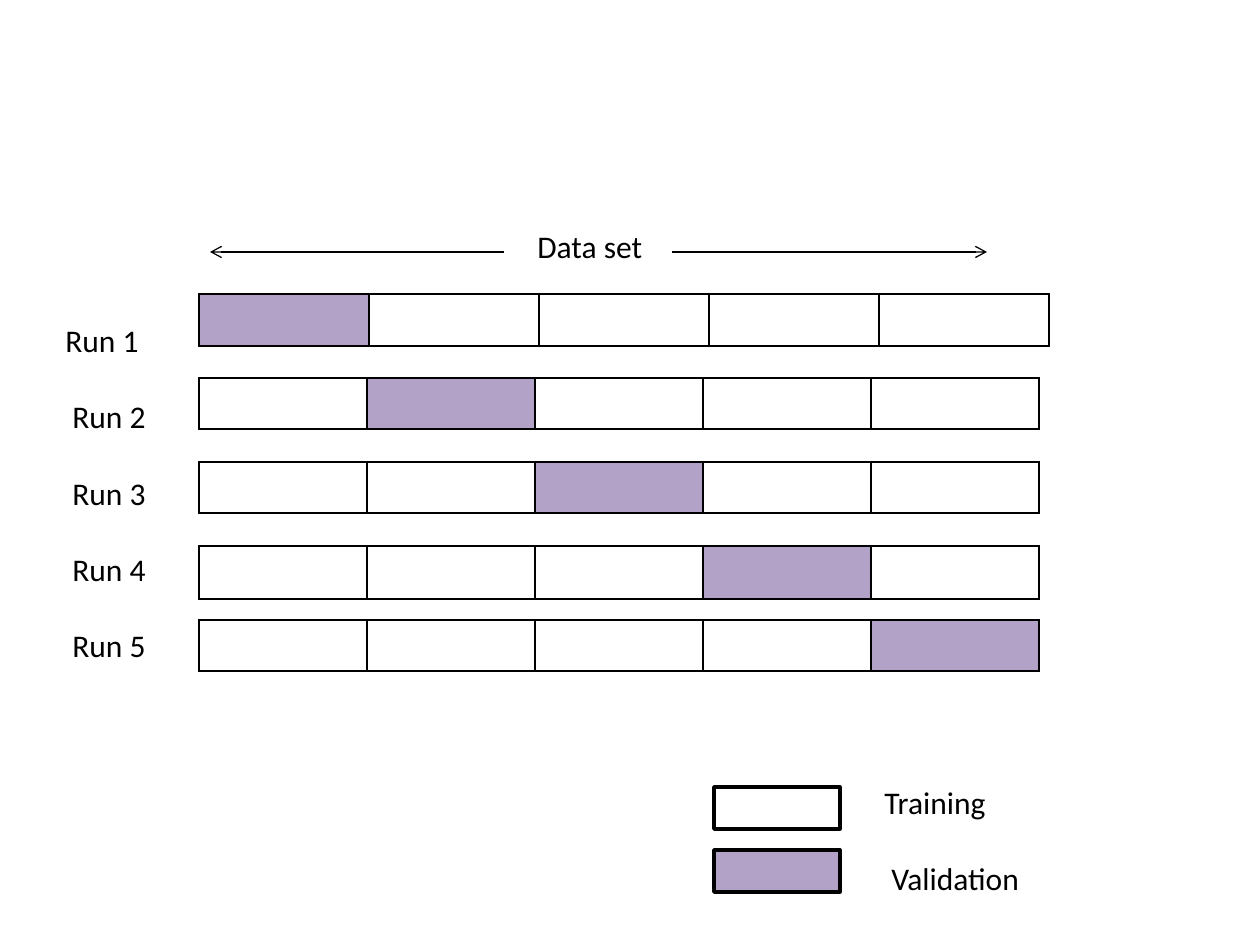
"""Builds a slide that shows five-fold cross-validation runs."""
from lxml.etree import SubElement
from pptx import Presentation
from pptx.dml.color import RGBColor
from pptx.enum.shapes import MSO_CONNECTOR, MSO_SHAPE
from pptx.enum.text import MSO_AUTO_SIZE
from pptx.oxml.ns import qn
from pptx.util import Emu, Pt

PX = 914400 // 126
FOLDS = 5
THEME = {
    "ink": RGBColor(0, 0, 0),
    "validation": RGBColor(0xB3, 0xA2, 0xC7),
    "font": {"name": "Calibri", "size": Pt(18)},
    "gap": Pt(22),
    "grid": Pt(1),
    "arrow": Pt(0.75),
    "key": Pt(2),
}
RUNS = [
    {"top": 294, "width": 850, "height": 52},
    {"top": 378, "width": 840, "height": 51},
    {"top": 462, "width": 840, "height": 51},
    {"top": 546, "width": 840, "height": 53},
    {"top": 620, "width": 840, "height": 51},
]
RUNS_LEFT = 199
LABELS = [
    {"lines": ["Run 1", "Run 2", "Run 3", "Run 4", "Run 5"],
     "box": (53, 315, 107, 357), "wrap": True},
    {"lines": ["Data set"], "box": (525, 221, 139, 50), "wrap": False},
    {"lines": ["Training", "Validation"], "box": (872, 777, 163, 127), "wrap": False},
]
ARROWS = [(504, 210), (672, 987)]
ARROW_Y = 252
KEYS = [(787, None), (850, THEME["validation"])]


def px(*lengths):
    return [Emu(length * PX) for length in lengths]


def paint(fill, color):
    if color is None:
        fill.background()
    else:
        fill.solid()
        fill.fore_color.rgb = color


def add_borders(cell):
    properties = cell._tc.get_or_add_tcPr()
    for position, side in enumerate(("lnL", "lnR", "lnT", "lnB")):
        border = properties.makeelement(qn(f"a:{side}"), {"w": str(THEME["grid"])})
        solid = SubElement(border, qn("a:solidFill"))
        SubElement(solid, qn("a:srgbClr"), val=str(THEME["ink"]))
        properties.insert(position, border)


def add_run(shapes, fold, run):
    frame = shapes.add_table(
        1, FOLDS, *px(RUNS_LEFT, run["top"], run["width"], run["height"]))
    table = frame.table
    table.first_row = table.horz_banding = False
    for column, cell in enumerate(table.iter_cells()):
        paint(cell.fill, THEME["validation"] if column == fold else None)
        add_borders(cell)


def add_label(shapes, label):
    frame = shapes.add_textbox(*px(*label["box"])).text_frame
    frame.word_wrap = label["wrap"]
    frame.auto_size = MSO_AUTO_SIZE.SHAPE_TO_FIT_TEXT
    frame.text = "\n".join(label["lines"])
    for index, paragraph in enumerate(frame.paragraphs):
        for attribute, value in THEME["font"].items():
            setattr(paragraph.font, attribute, value)
        paragraph.font.color.rgb = THEME["ink"]
        if index:
            paragraph.space_before = THEME["gap"]
            paragraph._p.get_or_add_pPr().set("marL", str(7 * PX))


def add_arrow(shapes, start, end):
    arrow = shapes.add_connector(
        MSO_CONNECTOR.STRAIGHT, *px(start, ARROW_Y, end, ARROW_Y))
    arrow.line.width = THEME["arrow"]
    arrow.line.color.rgb = THEME["ink"]
    SubElement(arrow.line._get_or_add_ln(), qn("a:tailEnd"), type="arrow")
    SubElement(arrow._element.spPr, qn("a:effectLst"))


def add_key(shapes, top, color):
    key = shapes.add_shape(MSO_SHAPE.RECTANGLE, *px(714, top, 126, 42))
    key.shadow.inherit = False
    paint(key.fill, color)
    key.line.width = THEME["key"]
    key.line.color.rgb = THEME["ink"]


deck = Presentation()
deck.slide_width, deck.slide_height = px(1260, 945)
shapes = deck.slides.add_slide(deck.slide_layouts[6]).shapes
for fold, run in enumerate(RUNS):
    add_run(shapes, fold, run)
for label in LABELS:
    add_label(shapes, label)
for start, end in ARROWS:
    add_arrow(shapes, start, end)
for top, color in KEYS:
    add_key(shapes, top, color)
deck.save("out.pptx")
